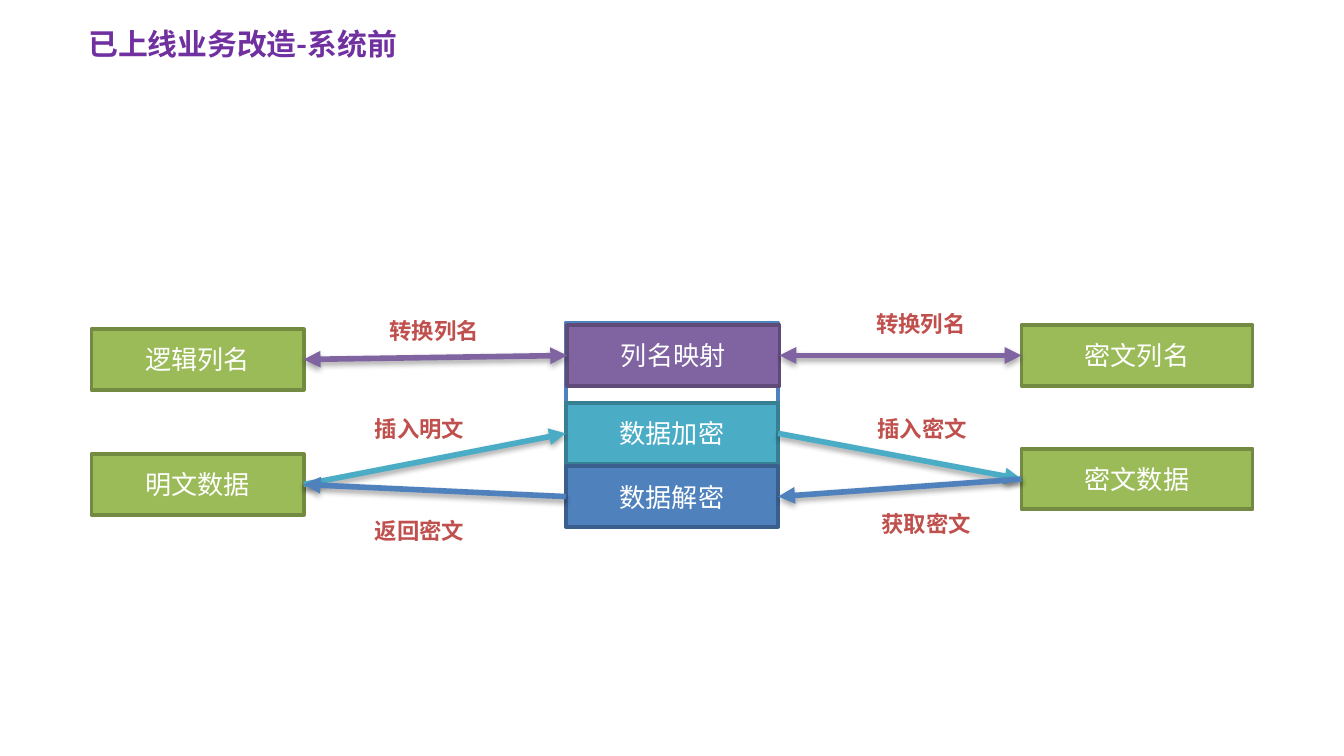
from lxml import etree
from pptx import Presentation
from pptx.dml.color import RGBColor
from pptx.enum import shapes, text
from pptx.oxml import ns
from pptx.util import Inches, Pt

WHITE = RGBColor(0xFF, 0xFF, 0xFF)
TITLE_PURPLE = RGBColor(0x70, 0x30, 0xA0)
LABEL_RED = RGBColor(0xC0, 0x50, 0x4D)
GREEN = RGBColor(0x9B, 0xBB, 0x59)
DARK_GREEN = RGBColor(0x73, 0x8A, 0x42)
TEAL = RGBColor(0x4B, 0xAC, 0xC6)
DARK_TEAL = RGBColor(0x37, 0x7F, 0x92)
BLUE = RGBColor(0x4F, 0x81, 0xBD)
DARK_BLUE = RGBColor(0x3A, 0x5F, 0x8C)
PURPLE = RGBColor(0x80, 0x64, 0xA2)
DARK_PURPLE = RGBColor(0x5F, 0x4A, 0x78)
BLACK = RGBColor(0, 0, 0)


def write(shape, wording, *, size, color, font="Noto Sans CJK SC", bold=False,
          align=text.PP_ALIGN.LEFT, anchor=text.MSO_ANCHOR.TOP, wrap=True):
    frame = shape.text_frame
    frame.word_wrap = wrap
    frame.vertical_anchor = anchor
    paragraph = frame.paragraphs[0]
    paragraph.alignment = align
    run = paragraph.add_run()
    run.text = wording
    run.font.size = Pt(size)
    run.font.bold = bold
    run.font.color.rgb = color
    run.font.name = font
    east_asian = etree.SubElement(run._r.get_or_add_rPr(), ns.qn("a:ea"))
    east_asian.set("typeface", font)


def add_box(left, top, width, height, fill, outline):
    box = slide.shapes.add_shape(shapes.MSO_SHAPE.RECTANGLE, Inches(left),
                                 Inches(top), Inches(width), Inches(height))
    box.shadow.inherit = False
    box.fill.solid()
    box.fill.fore_color.rgb = fill
    box.line.color.rgb = outline
    box.line.width = Pt(2)
    return box


prs = Presentation()
prs.slide_width = Inches(10)
prs.slide_height = Inches(10 * 9 / 16)
slide = prs.slides.add_slide(prs.slide_layouts[6])

title = slide.shapes.add_textbox(Inches(0.56), Inches(0.14), Inches(2.54), Inches(0.37))
write(title, "已上线业务改造-系统前", size=16, color=TITLE_PURPLE, bold=True)

# Frame behind the three middle steps
add_box(4.21, 2.4, 1.58, 1.51, WHITE, BLUE)

steps = {}
for name, left, top, width, fill, outline in [
    ("明文数据", 0.68, 3.38, 1.58, GREEN, DARK_GREEN),
    ("密文数据", 7.6, 3.34, 1.72, GREEN, DARK_GREEN),
    ("数据加密", 4.21, 3, 1.58, TEAL, DARK_TEAL),
    ("数据解密", 4.21, 3.47, 1.58, BLUE, DARK_BLUE),
    ("逻辑列名", 0.68, 2.45, 1.58, GREEN, DARK_GREEN),
    ("密文列名", 7.6, 2.42, 1.72, GREEN, DARK_GREEN),
    ("列名映射", 4.22, 2.42, 1.58, PURPLE, DARK_PURPLE),
]:
    steps[name] = add_box(left, top, width, 0.45, fill, outline)
    write(steps[name], name, size=14, color=WHITE, font="Quicksand",
          align=text.PP_ALIGN.CENTER, anchor=text.MSO_ANCHOR.MIDDLE)

LEFT_SIDE, RIGHT_SIDE = 1, 3
for source, target, color, arrow_ends in [
    ("明文数据", "数据加密", TEAL, ["tailEnd"]),
    ("数据加密", "密文数据", TEAL, ["tailEnd"]),
    ("数据解密", "明文数据", BLUE, ["tailEnd"]),
    ("逻辑列名", "列名映射", PURPLE, ["headEnd", "tailEnd"]),
    ("列名映射", "密文列名", PURPLE, ["headEnd", "tailEnd"]),
    ("密文数据", "数据解密", BLUE, ["tailEnd"]),
]:
    start, end = steps[source], steps[target]
    rightward = start.left < end.left
    flow = slide.shapes.add_connector(shapes.MSO_CONNECTOR.STRAIGHT, 0, 0, 0, 0)
    flow.begin_connect(start, RIGHT_SIDE if rightward else LEFT_SIDE)
    flow.end_connect(end, LEFT_SIDE if rightward else RIGHT_SIDE)
    flow.line.color.rgb = color
    flow.line.width = Pt(3)
    for arrow_end in arrow_ends:
        etree.SubElement(flow.line._ln, ns.qn(f"a:{arrow_end}")).set("type", "triangle")
    effects = etree.SubElement(flow._element.spPr, ns.qn("a:effectLst"))
    shadow = etree.SubElement(effects, ns.qn("a:outerShdw"), blurRad=str(Pt(3.1)),
                              dist=str(Pt(1.8)), dir="5400000", rotWithShape="0")
    shade = etree.SubElement(shadow, ns.qn("a:srgbClr"), val=str(BLACK))
    etree.SubElement(shade, ns.qn("a:alpha"), val="35000")

for wording, left, top in [
    ("插入密文", 6.43, 3.04),
    ("插入明文", 2.69, 3.04),
    ("获取密文", 6.46, 3.75),
    ("返回密文", 2.69, 3.8),
    ("转换列名", 6.42, 2.26),
    ("转换列名", 2.8, 2.31),
]:
    label = slide.shapes.add_textbox(Inches(left), Inches(top), Inches(0.88), Inches(0.3))
    write(label, wording, size=12, color=LABEL_RED, bold=True, wrap=False)
    label.text_frame.auto_size = text.MSO_AUTO_SIZE.SHAPE_TO_FIT_TEXT

prs.save("out.pptx")
